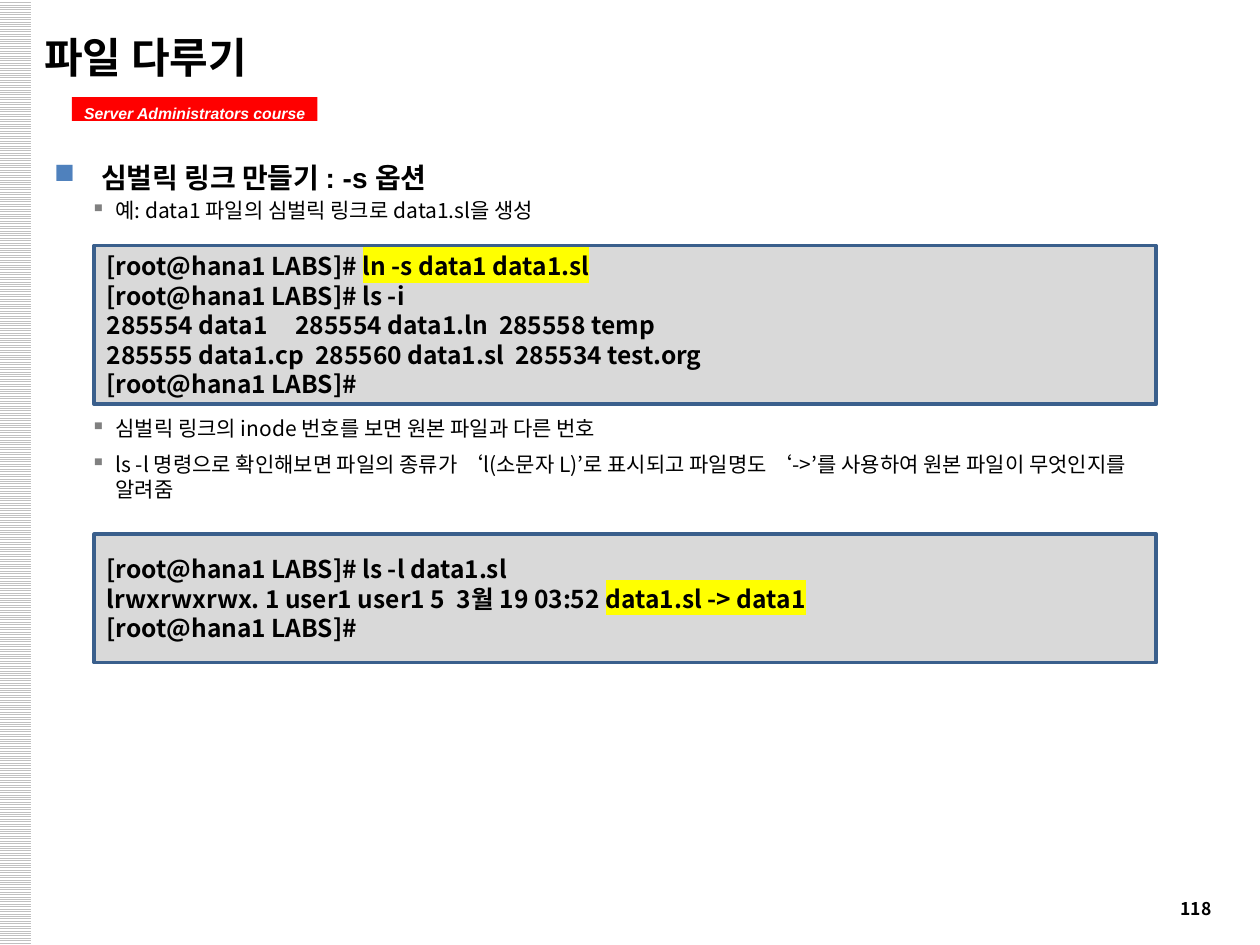
"""Build the course slide on making symbolic links."""
import dataclasses

import lxml.etree
import pptx
import pptx.dml.color
import pptx.enum.dml
import pptx.enum.shapes
import pptx.enum.text
import pptx.oxml.ns
import pptx.util

Cm = pptx.util.Cm
Pt = pptx.util.Pt
qn = pptx.oxml.ns.qn
Anchor = pptx.enum.text.MSO_ANCHOR
Align = pptx.enum.text.PP_ALIGN
RECTANGLE = pptx.enum.shapes.MSO_SHAPE.RECTANGLE


@dataclasses.dataclass(frozen=True)
class Theme:
    korean: str = "Noto Sans CJK KR"
    latin: str = "Arial"
    black: str = "000000"
    white: str = "FFFFFF"
    stripe: str = "C0C0C0"
    badge: str = "FF0000"
    heading_bullet: str = "4F81BD"
    item_bullet: str = "808080"
    panel: str = "D9D9D9"
    panel_line: str = "3A5F8C"
    marker: str = "FFFF00"
    title_size: float = 24
    heading_size: float = 16
    code_size: float = 14
    item_size: float = 12
    number_size: float = 10
    badge_size: float = 9


theme = Theme()
rgb = pptx.dml.color.RGBColor.from_string


def style(span, size, color=theme.black, font=theme.korean, bold=True, marked=False):
    span.font.size = Pt(size)
    span.font.bold = bold
    span.font.color.rgb = rgb(color)
    span.font.name = font
    properties = span.font._element
    east_asian = lxml.etree.Element(qn("a:ea"), typeface=theme.korean)
    properties.find(qn("a:latin")).addnext(east_asian)
    if marked:
        highlight = lxml.etree.Element(qn("a:highlight"))
        lxml.etree.SubElement(highlight, qn("a:srgbClr"), val=theme.marker)
        properties.find(qn("a:solidFill")).addnext(highlight)


def add_bullet(para, symbol, color, margin, hanging):
    properties = para._p.get_or_add_pPr()
    properties.set("marL", str(margin))
    properties.set("indent", str(-hanging))
    bullet_color = lxml.etree.SubElement(properties, qn("a:buClr"))
    lxml.etree.SubElement(bullet_color, qn("a:srgbClr"), val=color)
    lxml.etree.SubElement(properties, qn("a:buChar"), char=symbol)


deck = pptx.Presentation()
deck.slide_width, deck.slide_height = Cm(25.4), Cm(19.05)
page = deck.slides.add_slide(deck.slide_layouts[5])

stripe = page.shapes.add_shape(RECTANGLE, Cm(-0.03), 0, Cm(0.66), Cm(19.05))
stripe.shadow.inherit = False
stripe.fill.patterned()
stripe.fill.pattern = pptx.enum.dml.MSO_PATTERN.LIGHT_HORIZONTAL
stripe.fill.fore_color.rgb = rgb(theme.stripe)
stripe.fill.back_color.rgb = rgb(theme.white)
stripe.line.fill.background()

number = page.shapes.add_textbox(Cm(23.55), Cm(18), Cm(1.85), Cm(0.65))
number.text_frame.word_wrap = True
number.text_frame.vertical_anchor = Anchor.MIDDLE
number.text_frame.text = "118"
style(number.text_frame.paragraphs[0].runs[0], theme.number_size)

badge = page.shapes.add_shape(RECTANGLE, Cm(1.45), Cm(1.96), Cm(4.95), Cm(0.48))
badge.shadow.inherit = False
badge.fill.solid()
badge.fill.fore_color.rgb = rgb(theme.badge)
badge.line.fill.background()
badge.text_frame.word_wrap = False
badge.text_frame.vertical_anchor = Anchor.TOP
badge.text_frame.margin_top, badge.text_frame.margin_bottom = Cm(0.13), 0
badge.text_frame.text = "Server Administrators course"
badge.text_frame.paragraphs[0].alignment = Align.CENTER
label = badge.text_frame.paragraphs[0].runs[0]
style(label, theme.badge_size, theme.white, theme.latin)
label.font.italic = True

title = page.shapes.title
title.left, title.top, title.width, title.height = Cm(0.64), Cm(0.38), Cm(23.5), Cm(1.52)
title.text_frame.text = "파일 다루기"
title.text_frame.vertical_anchor = Anchor.MIDDLE
title.text_frame.paragraphs[0].alignment = Align.LEFT
style(title.text_frame.paragraphs[0].runs[0], theme.title_size)

outlines = [
    (2.74, 2.2, [
        ("심벌릭 링크 만들기 : -s 옵션", True),
        ("예: data1 파일의 심벌릭 링크로 data1.sl을 생성", False),
    ]),
    (8.26, 2.2, [
        ("심벌릭 링크의 inode 번호를 보면 원본 파일과 다른 번호", False),
        ("ls -l 명령으로 확인해보면 파일의 종류가 ‘l(소문자 L)’로 표시되고 "
         "파일명도 ‘->’를 사용하여 원본 파일이 무엇인지를 알려줌", False),
    ]),
]
for top, height, items in outlines:
    box = page.shapes.add_textbox(Cm(0.84), Cm(top), Cm(23.3), Cm(height))
    box.text_frame.word_wrap = True
    box.text_frame.text = "\n".join(text for text, _ in items)
    for index, (para, (_, is_heading)) in enumerate(zip(box.text_frame.paragraphs, items)):
        if is_heading:
            add_bullet(para, "■", theme.heading_bullet, Cm(0.95), Cm(0.95))
            para.line_spacing = Pt(29.5)
            style(para.runs[0], theme.heading_size, font=theme.latin)
        else:
            add_bullet(para, "▪", theme.item_bullet, Cm(1.24), Cm(0.5))
            para.line_spacing = Pt(14.3)
            para.space_before = Pt(2.4 if index else 0)
            para.space_after = Pt(4)
            style(para.runs[0], theme.item_size, bold=False)

terminals = [
    (4.95, 3.2, [
        [("[root@hana1 LABS]# ", False), ("ln -s data1 data1.sl", True)],
        [("[root@hana1 LABS]# ls -i", False)],
        [("285554 data1     285554 data1.ln  285558 temp", False)],
        [("285555 data1.cp  285560 data1.sl  285534 test.org", False)],
        [("[root@hana1 LABS]#", False)],
    ]),
    (10.77, 2.59, [
        [("[root@hana1 LABS]# ls -l data1.sl", False)],
        [("lrwxrwxrwx. 1 user1 user1 5  3월 19 03:52 ", False), ("data1.sl -> data1", True)],
        [("[root@hana1 LABS]#", False)],
    ]),
]
for top, height, lines in terminals:
    panel = page.shapes.add_shape(RECTANGLE, Cm(1.9), Cm(top), Cm(21.41), Cm(height))
    panel.shadow.inherit = False
    panel.fill.solid()
    panel.fill.fore_color.rgb = rgb(theme.panel)
    panel.line.color.rgb = rgb(theme.panel_line)
    panel.line.width = Pt(2)
    panel.text_frame.vertical_anchor = Anchor.MIDDLE
    panel.text_frame.text = "\n".join([""] * len(lines))
    for para, line in zip(panel.text_frame.paragraphs, lines):
        para.alignment = Align.LEFT
        para.line_spacing = Pt(16.9)
        for text, marked in line:
            span = para.add_run()
            span.text = text
            style(span, theme.code_size, marked=marked)

deck.save("out.pptx")
